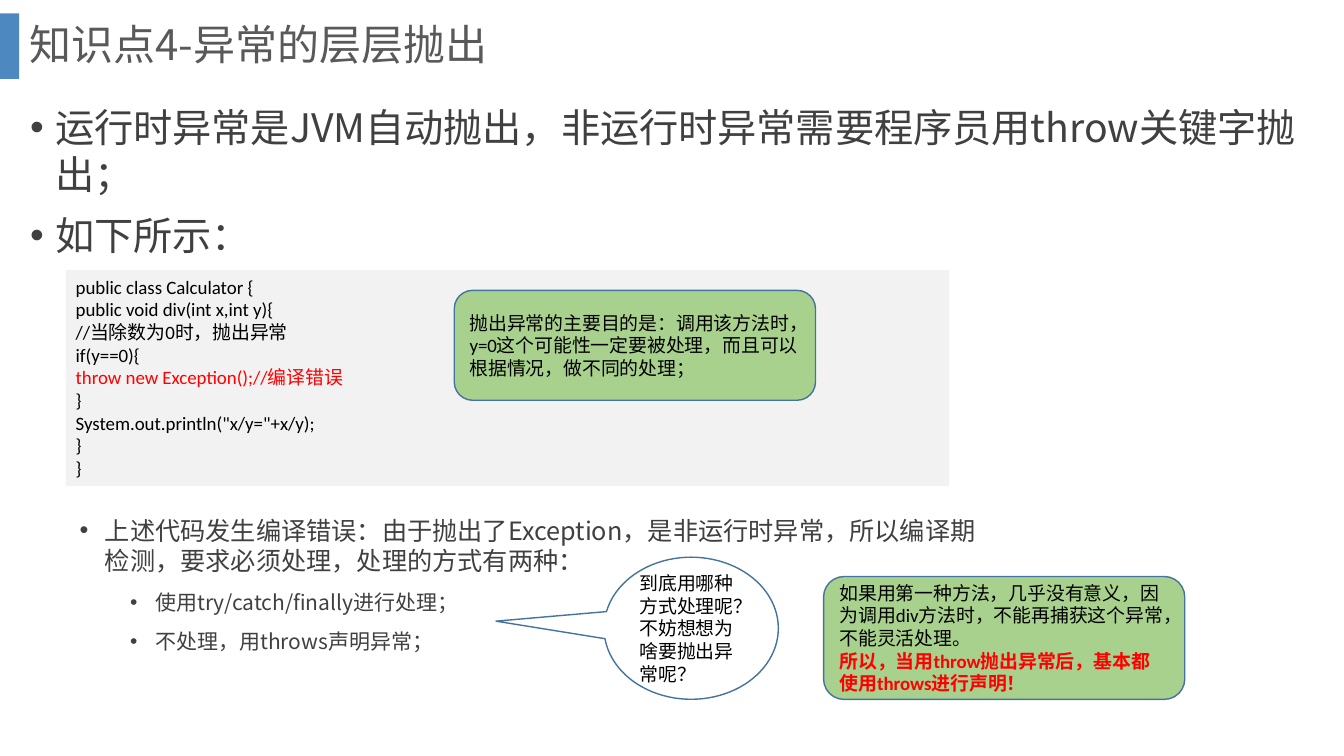
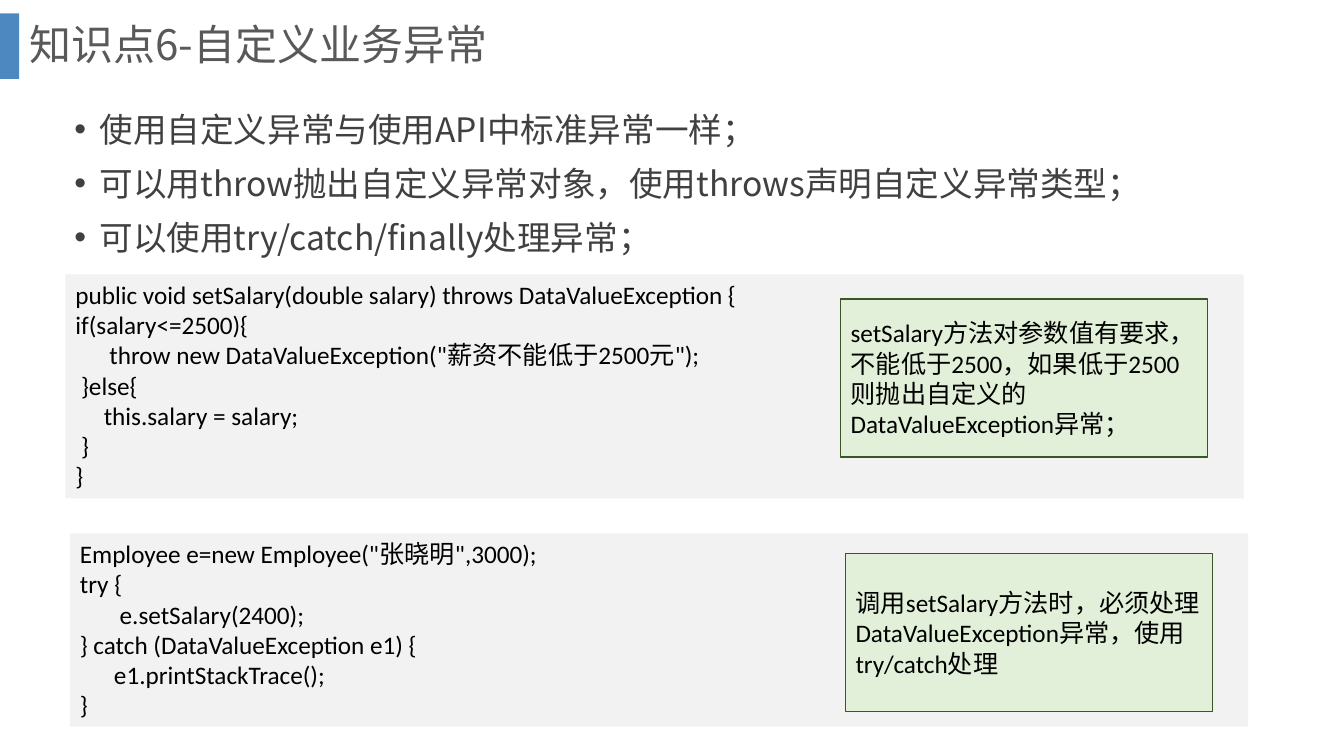
from dataclasses import dataclass

from lxml import etree
from pptx import Presentation
from pptx.dml import color
from pptx.enum import shapes, text
from pptx.oxml import ns
from pptx.util import Pt

SANS = "Noto Sans CJK SC"
CODE = "Calibri"
BAND, TITLE, BODY = "2E75B6", "595959", "404040"
BLACK, RED = "000000", "FF0000"
PANEL, GREEN, PALE = "F2F2F2", "A9D18E", "E2F0D9"
BLUE_LINE, GREEN_LINE = "43739E", "385723"
RECT = shapes.MSO_SHAPE.RECTANGLE
ROUND = shapes.MSO_SHAPE.ROUNDED_RECTANGLE
CALLOUT = shapes.MSO_SHAPE.OVAL_CALLOUT
TOP, MIDDLE = text.MSO_ANCHOR.TOP, text.MSO_ANCHOR.MIDDLE


@dataclass
class Line:
    words: str
    size: float
    font: str = CODE
    color: str = BLACK
    bold: bool = False
    indent: float = 0
    space_before: float = 0


@dataclass
class Box:
    left: float
    top: float
    width: float
    height: float
    lines: list[Line]
    kind: shapes.MSO_SHAPE | None = None
    fill: str | None = None
    outline: str | None = None
    anchor: text.MSO_ANCHOR = TOP
    inset: tuple[float, float] = (7.2, 3.6)
    adjustments: tuple[float, ...] = ()


def rgb(value: str) -> color.RGBColor:
    return color.RGBColor.from_string(value)


def code(source: str, size: float) -> list[Line]:
    return [Line(row, size) for row in source.split("\n")]


def bullets(rows: list[str], size: float, indent: float = 18) -> list[Line]:
    return [Line(row, size, SANS, BODY, indent=indent, space_before=10) for row in rows]


def write_line(paragraph, line: Line) -> None:
    paragraph.text = line.words
    paragraph.alignment = text.PP_ALIGN.LEFT
    properties = paragraph._p.get_or_add_pPr()
    if line.indent:
        properties.set("marL", str(Pt(line.indent)))
        properties.set("indent", str(Pt(-18)))
        font = etree.SubElement(properties, ns.qn("a:buFont"))
        font.set("typeface", "Arial")
        etree.SubElement(properties, ns.qn("a:buChar")).set("char", "•")
    paragraph.space_before = Pt(line.space_before)
    font = paragraph.font
    font.name, font.size, font.bold = line.font, Pt(line.size), line.bold
    font.color.rgb = rgb(line.color)
    east_asian = etree.SubElement(properties.find(ns.qn("a:defRPr")), ns.qn("a:ea"))
    east_asian.set("typeface", SANS)


def write_lines(frame, lines: list[Line]) -> None:
    for index, line in enumerate(lines):
        paragraph = frame.add_paragraph() if index else frame.paragraphs[0]
        write_line(paragraph, line)
    frame.paragraphs[0].space_before = Pt(0)


def draw_box(slide, box: Box):
    place = [Pt(value) for value in (box.left, box.top, box.width, box.height)]
    if box.kind is None:
        shape = slide.shapes.add_textbox(*place)
    else:
        shape = slide.shapes.add_shape(box.kind, *place)
        shape.shadow.inherit = False
        if box.fill:
            shape.fill.solid()
            shape.fill.fore_color.rgb = rgb(box.fill)
        else:
            shape.fill.background()
        if box.outline:
            shape.line.color.rgb = rgb(box.outline)
            shape.line.width = Pt(1)
        else:
            shape.line.fill.background()
        for index, value in enumerate(box.adjustments):
            shape.adjustments[index] = value
    frame = shape.text_frame
    frame.word_wrap = True
    frame.vertical_anchor = box.anchor
    frame.margin_left = frame.margin_right = Pt(box.inset[0])
    frame.margin_top = frame.margin_bottom = Pt(box.inset[1])
    write_lines(frame, box.lines)
    return shape


def add_slide(presentation, title: str, boxes: list[Box]) -> None:
    slide = presentation.slides.add_slide(presentation.slide_layouts[5])
    band = draw_box(slide, Box(0, 9.6, 13.7, 46.8, [], RECT, BAND))
    tint = band.fill._xPr.find(".//" + ns.qn("a:srgbClr"))
    etree.SubElement(tint, ns.qn("a:alpha")).set("val", "85000")
    heading = slide.shapes.title
    heading.left, heading.top = Pt(13.7), Pt(0)
    heading.width, heading.height = Pt(911.5), Pt(67)
    frame = heading.text_frame
    frame.auto_size = text.MSO_AUTO_SIZE.NONE
    frame.vertical_anchor = MIDDLE
    write_lines(frame, [Line(title, 30, SANS, TITLE)])
    frame.paragraphs[0].line_spacing = 0.9
    for box in boxes:
        draw_box(slide, box)


def green_note(left: float, top: float, height: float, lines: list[Line]) -> Box:
    return Box(left, top, 258, height, lines, ROUND, GREEN, BLUE_LINE, MIDDLE)


def pale_note(left: float, top: float, words: str) -> Box:
    return Box(left, top, 262, 113, [Line(words, 18)], RECT, PALE, GREEN_LINE, MIDDLE)


CALCULATOR = """public class Calculator {
public void div(int x,int y){
//当除数为0时，抛出异常
if(y==0){
throw new Exception();//编译错误
}
System.out.println("x/y="+x/y);
}
}"""

SET_SALARY = """public void setSalary(double salary) throws DataValueException {
if(salary<=2500){
      throw new DataValueException("薪资不能低于2500元");
 }else{
     this.salary = salary;
 }
}"""

EMPLOYEE = """Employee e=new Employee("张晓明",3000);
try {
       e.setSalary(2400);
} catch (DataValueException e1) {
      e1.printStackTrace();
}"""


def rethrow_boxes() -> list[Box]:
    calculator = code(CALCULATOR, 13.5)
    calculator[4].color = RED
    intro = bullets(["运行时异常是JVM自动抛出，非运行时异常需要程序员用throw关键字抛出；", "如下所示："], 28)
    handling = bullets(
        ["上述代码发生编译错误：由于抛出了Exception，是非运行时异常，所以编译期检测，要求必须处理，处理的方式有两种："], 18
    ) + bullets(["使用try/catch/finally进行处理；", "不处理，用throws声明异常；"], 15, 54)
    question = [Line("到底用哪种方式处理呢？不妨想想为啥要抛出异常呢？", 13.5)]
    purpose = [Line("抛出异常的主要目的是：调用该方法时，y=0这个可能性一定要被处理，而且可以根据情况，做不同的处理；", 13.5)]
    advice = [
        Line("如果用第一种方法，几乎没有意义，因为调用div方法时，不能再捕获这个异常，不能灵活处理。", 13.5),
        Line("所以，当用throw抛出异常后，基本都使用throws进行声明！", 13.5, color=RED, bold=True),
    ]
    return [
        Box(14.4, 70.5, 929, 429, intro),
        Box(47, 193, 631, 154, calculator, RECT, PANEL),
        Box(52, 365, 651, 106, handling, inset=(5, 2.9)),
        Box(431.5, 398, 124.5, 101.5, question, CALLOUT, None, BLUE_LINE, MIDDLE, adjustments=(-1.12, -0.05)),
        green_note(324.5, 207.4, 78.5, purpose),
        green_note(588.3, 411.8, 87.8, advice),
    ]


def custom_boxes() -> list[Box]:
    usage = bullets(
        [
            "使用自定义异常与使用API中标准异常一样；",
            "可以用throw抛出自定义异常对象，使用throws声明自定义异常类型；",
            "可以使用try/catch/finally处理异常；",
        ],
        24,
    )
    return [
        Box(46, 74, 868, 122.4, usage),
        Box(46.8, 196, 841.5, 160, code(SET_SALARY, 18), RECT, PANEL),
        Box(50, 381, 841.5, 138, code(EMPLOYEE, 18), RECT, PANEL),
        pale_note(600.5, 213.6, "setSalary方法对参数值有要求，不能低于2500，如果低于2500则抛出自定义的DataValueException异常；"),
        pale_note(604, 395.5, "调用setSalary方法时，必须处理DataValueException异常，使用try/catch处理"),
    ]


def main() -> None:
    presentation = Presentation()
    presentation.slide_width, presentation.slide_height = Pt(960), Pt(540)
    add_slide(presentation, "知识点4-异常的层层抛出", rethrow_boxes())
    add_slide(presentation, "知识点6-自定义业务异常", custom_boxes())
    presentation.save("out.pptx")


if __name__ == "__main__":
    main()
